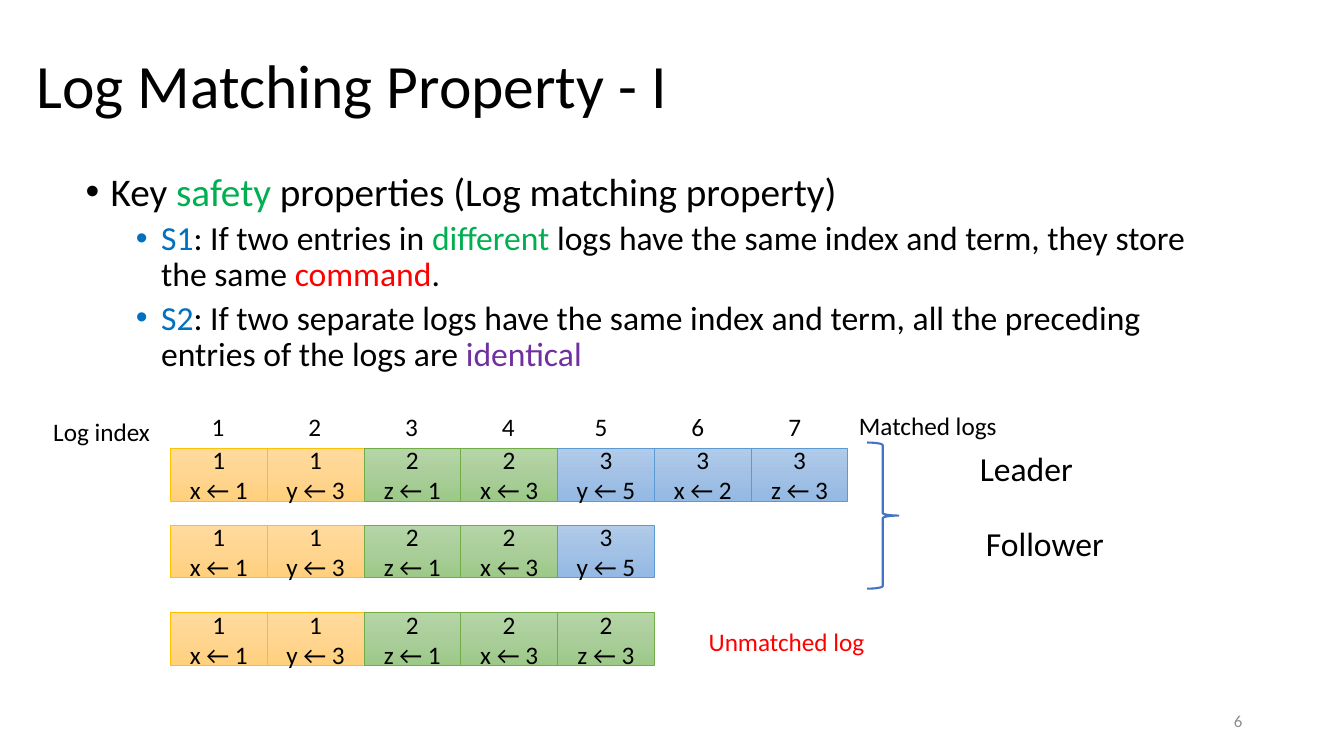
import copy

import pptx
import pptx.dml.color
import pptx.enum.shapes
import pptx.enum.text
import pptx.oxml
import pptx.oxml.ns
import pptx.util
from pptx.util import Inches, Pt

ALIGN = pptx.enum.text.PP_ALIGN
ANCHOR = pptx.enum.text.MSO_ANCHOR
SHAPE = pptx.enum.shapes.MSO_SHAPE
qn = pptx.oxml.ns.qn

BLACK, GREEN, BLUE, RED, PURPLE = "000000", "00B050", "0070C0", "FF0000", "7030A0"

# Gradient stops and outline for each term
TERM_COLOURS = {
    "1": (("FFDB9E", "FFD590", "FFD07C"), "FFC000"),
    "2": (("B5D5A7", "AACE9A", "9CC987"), "70AD47"),
    "3": (("B1CBE9", "A3C1E5", "93B9E4"), "5B9BD5"),
}


def rgb(colour):
    return pptx.dml.color.RGBColor.from_string(colour)


class LogSlide:
    font_name = "Calibri"

    def __init__(self, presentation):
        self.slide = presentation.slides.add_slide(presentation.slide_layouts[5])

    def style(self, paragraph, size, colour=BLACK, align=ALIGN.LEFT):
        paragraph.alignment = align
        paragraph.font.name = self.font_name
        paragraph.font.size = Pt(size)
        paragraph.font.color.rgb = rgb(colour)

    def title(self, text, left, top, width, height):
        heading = self.slide.shapes.title
        heading.left, heading.top = Inches(left), Inches(top)
        heading.width, heading.height = Inches(width), Inches(height)
        heading.text_frame.text = text
        heading.text_frame.vertical_anchor = ANCHOR.MIDDLE
        paragraph = heading.text_frame.paragraphs[0]
        paragraph.line_spacing = 0.9
        self.style(paragraph, 44)

    def label(self, text, left, top, width, height=0.4, size=18, colour=BLACK,
              align=ALIGN.LEFT, anchor=ANCHOR.TOP, wrap=False):
        box = self.slide.shapes.add_textbox(
            Inches(left), Inches(top), Inches(width), Inches(height))
        box.text_frame.word_wrap = wrap
        box.text_frame.vertical_anchor = anchor
        box.text_frame.text = text
        self.style(box.text_frame.paragraphs[0], size, colour, align)

    def bullets(self, items, left, top, width, height):
        frame = self.slide.shapes.add_textbox(
            Inches(left), Inches(top), Inches(width), Inches(height)).text_frame
        frame.word_wrap = True
        for number, (level, size, indent, runs) in enumerate(items):
            paragraph = frame.add_paragraph() if number else frame.paragraphs[0]
            paragraph.level = level
            paragraph.line_spacing = 0.9
            if number:
                paragraph.space_before = Pt(5)
            properties = paragraph._p.get_or_add_pPr()
            properties.set("marL", str(Inches(indent)))
            properties.set("indent", str(-Inches(0.25)))
            bullet_font = properties.makeelement(qn("a:buFont"), {"typeface": "Arial"})
            bullet = properties.makeelement(qn("a:buChar"), {"char": "•"})
            properties.extend([bullet_font, bullet])
            self.style(paragraph, size)
            for text, colour in runs:
                run = paragraph.add_run()
                run.text = text
                run.font.color.rgb = rgb(colour)

    def entry(self, term, command, left, top, width, height):
        cell = self.slide.shapes.add_shape(
            SHAPE.RECTANGLE, Inches(left), Inches(top), Inches(width), Inches(height))
        cell.shadow.inherit = False
        stop_colours, outline = TERM_COLOURS[term]
        cell.fill.gradient()
        cell.fill.gradient_angle = 270
        stop_list = cell._element.spPr.find(qn("a:gradFill")).find(qn("a:gsLst"))
        stop_list.insert(1, copy.deepcopy(stop_list[0]))
        for number, (stop, colour) in enumerate(zip(cell.fill.gradient_stops, stop_colours)):
            stop.position = number / 2
            stop.color.rgb = rgb(colour)
        cell.line.color.rgb = rgb(outline)
        cell.line.width = Pt(0.5)
        cell.text_frame.vertical_anchor = ANCHOR.MIDDLE
        cell.text_frame.text = f"{term}\n{command}"
        for paragraph in cell.text_frame.paragraphs:
            self.style(paragraph, 18, align=ALIGN.CENTER)

    def brace(self, left, top, width, height):
        brace = self.slide.shapes.add_shape(
            SHAPE.RIGHT_BRACE, Inches(left), Inches(top), Inches(width), Inches(height))
        brace.shadow.inherit = False
        brace.fill.background()
        brace.line.color.rgb = rgb("4472C4")
        brace.line.width = Pt(1.5)


def main():
    presentation = pptx.Presentation()
    presentation.slide_width, presentation.slide_height = Inches(13.33), Inches(7.5)
    page = LogSlide(presentation)

    # Title and safety properties
    page.title("Log Matching Property - I", 0.26, 0.15, 11.5, 1.45)
    page.bullets([
        (0, 28, 0.25, [("Key ", BLACK), ("safety", GREEN),
                       (" properties (Log matching property)", BLACK)]),
        (1, 24, 0.75, [("S1", BLUE), (": If two entries in ", BLACK), ("different", GREEN),
                       (" logs have the same index and term, they store the same ", BLACK),
                       ("command", RED), (".", BLACK)]),
        (1, 24, 0.75, [("S2", BLUE),
                       (": If two separate logs have the same index and term, "
                        "all the preceding entries of the logs are ", BLACK),
                       ("identical", PURPLE)]),
    ], 0.75, 1.66, 11.5, 2.17)

    # Log entries: the logs share their first four
    pitch = 0.96
    shared = [("1", "x ← 1"), ("1", "y ← 3"), ("2", "z ← 1"), ("2", "x ← 3")]
    follower = shared + [("3", "y ← 5")]
    leader = follower + [("3", "x ← 2"), ("3", "z ← 3")]
    unmatched = shared + [("2", "z ← 3")]
    for top, log in ((4.45, leader), (5.21, follower), (6.08, unmatched)):
        for column, (term, command) in enumerate(log):
            page.entry(term, command, 1.69 + column * pitch, top, pitch, 0.52)

    # Log indexes: those past the shared entries sit slightly to the left
    page.label("Log index", 0.43, 4.08, 1.17)
    for column in range(len(leader)):
        shift = 0.04 if column >= len(shared) else 0
        page.label(str(column + 1), 2 + column * pitch - shift, 4.03, 0.33)

    # Roles and match status
    page.label("Leader", 9.62, 4.39, 1.14, 0.5, size=24)
    page.label("Follower", 9.68, 5.14, 1.38, 0.5, size=24)
    page.brace(8.6, 4.39, 0.31, 1.45)
    page.label("Matched logs", 8.42, 4.02, 1.58)
    page.label("Unmatched log", 6.93, 6.16, 1.77, colour=RED)

    # Slide number
    page.label("6", 9.42, 6.95, 3, size=12, colour="8C8C8C",
               align=ALIGN.RIGHT, anchor=ANCHOR.MIDDLE, wrap=True)

    presentation.save("out.pptx")


if __name__ == "__main__":
    main()
